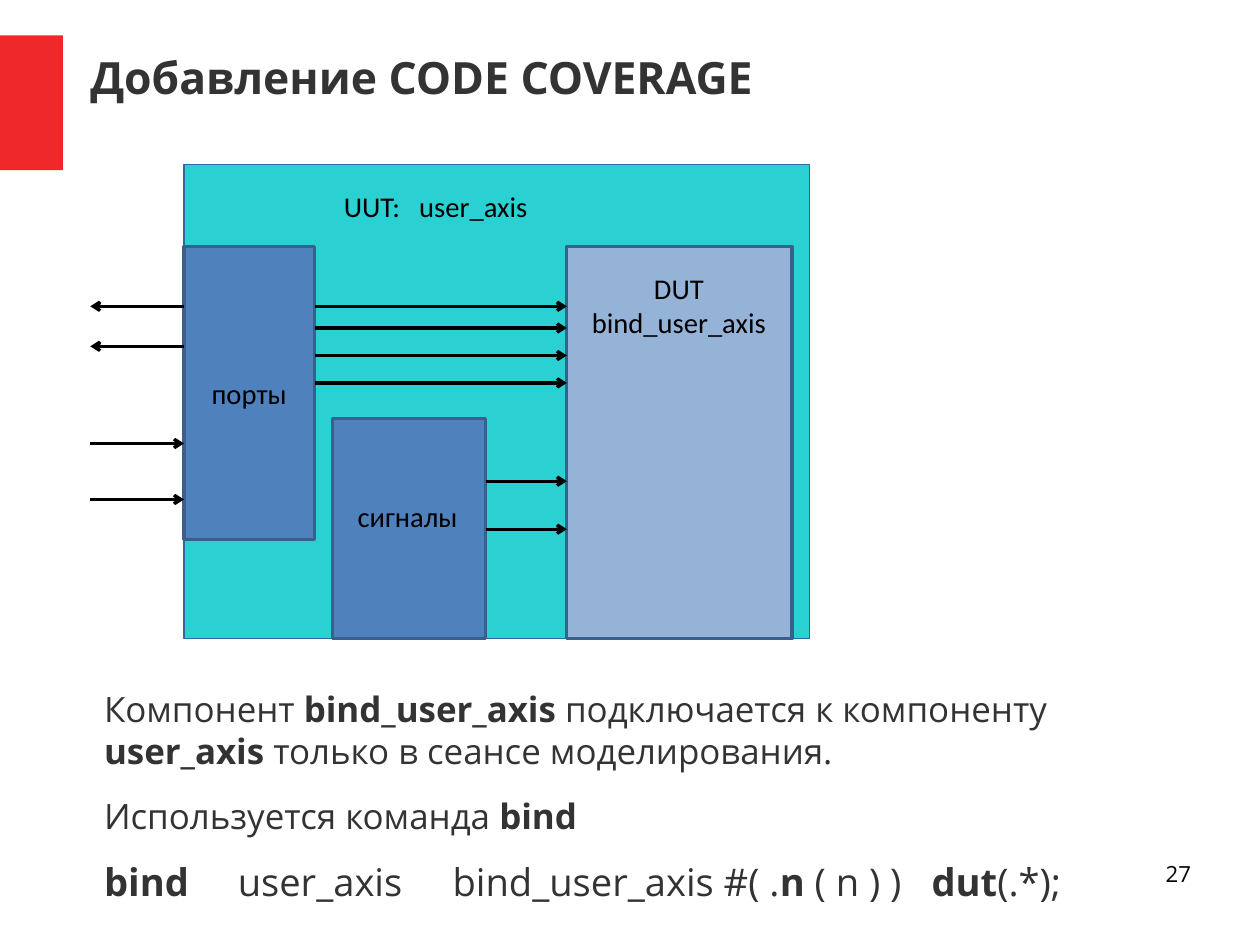
from pptx import Presentation
from pptx.dml.color import RGBColor
from pptx.enum.shapes import MSO_CONNECTOR, MSO_SHAPE
from pptx.enum.text import MSO_ANCHOR, MSO_AUTO_SIZE, PP_ALIGN
from pptx.oxml.ns import qn
from pptx.util import Cm, Inches, Pt
from lxml.etree import SubElement

SIZE = (28, 21)
TITLE = "Добавление CODE COVERAGE"
HEAD = {"name": "Open Sans", "size": Pt(28), "bold": True}
BODY = {"name": "Open Sans", "size": Pt(22)}
CODE = {"name": "Open Sans", "size": Pt(24)}
PAGE = {"name": "Open Sans", "size": Pt(14)}
LABEL = {"name": "Calibri", "size": Pt(18)}
DARK, BLACK = "333333", "000000"
LEFT = {"alignment": PP_ALIGN.LEFT}
MID = {"alignment": PP_ALIGN.CENTER}
RIGHT = {"alignment": PP_ALIGN.RIGHT}
PARA = {"alignment": PP_ALIGN.LEFT, "space_after": Pt(14.1)}
TIGHT = {"margin_left": 0, "margin_right": 0, "margin_top": 0, "margin_bottom": 0}

RECTS = [
    ((0, 0.31, 0.55, 1.18), "EF2929", None, 0, ""),
    ((1.61, 1.44, 5.47, 4.15), "2BD0D2", "3465A4", 0, ""),
    ((4.96, 2.16, 1.97, 3.43), "95B3D7", "3A5F8C", 2, ""),
    ((1.61, 2.16, 1.14, 2.56), "4F81BD", "3A5F8C", 2, "порты"),
    ((2.91, 3.66, 1.34, 1.93), "4F81BD", "3A5F8C", 2, ""),
]
LABELS = [
    ((2.91, 1.6, 1.83, 0.4), ["UUT:\tuser_axis"], LEFT, [0.66]),
    ((3.03, 4.32, 1.1, 0.4), ["сигналы"], LEFT, []),
    ((5.07, 2.32, 1.74, 0.71), ["DUT", "bind_user_axis"], MID, []),
]
ARROWS = [
    (1.61, 0.79, [2.68, 3.03]),
    (0.79, 1.61, [3.88, 4.37]),
    (2.76, 4.96, [2.68, 2.87, 3.11, 3.35]),
    (4.25, 4.96, [4.21, 4.63]),
]
NOTES = [
    (BODY, [], [("Компонент ", False), ("bind_user_axis ", True),
                ("подключается к компоненту ", False), ("user_axis ", True),
                ("только в сеансе моделирования.", False)]),
    (BODY, [], [("Используется команда ", False), ("bind", True)]),
    (CODE, [1.17, 3.05, 7.24], [("bind", True), ("\tuser_axis\tbind_user_axis #( .", False),
                                ("n", True), (" ( n ) )\t", False),
                                ("dut", True), ("(.*);", False)]),
]


def rgb(code):
    return RGBColor.from_string(code)


def apply(item, style):
    for key, value in style.items():
        setattr(item, key, value)


def write(para, parts, font, color, style, tabs=()):
    apply(para, style)
    for text, bold in parts:
        run = para.add_run()
        run.text = text
        apply(run.font, {"bold": bold, **font})
        run.font.color.rgb = rgb(color)
    if tabs:
        stops = SubElement(para._p.get_or_add_pPr(), qn("a:tabLst"))
        for stop in tabs:
            SubElement(stops, qn("a:tab"), pos=str(Inches(stop)), algn="l")


def next_para(frame, index):
    return frame.add_paragraph() if index else frame.paragraphs[0]


def add_box(slide, place, style):
    frame = slide.shapes.add_textbox(*map(Inches, place)).text_frame
    apply(frame, {"word_wrap": True, **style})
    return frame


def add_rect(slide, place, fill, edge, width, text):
    rect = slide.shapes.add_shape(MSO_SHAPE.RECTANGLE, *map(Inches, place))
    rect.shadow.inherit = False
    rect.fill.solid()
    rect.fill.fore_color.rgb = rgb(fill)
    if edge:
        rect.line.color.rgb = rgb(edge)
        rect.line.width = Pt(width)
    else:
        rect.line.fill.background()
    if text:
        rect.text_frame.vertical_anchor = MSO_ANCHOR.MIDDLE
        write(rect.text_frame.paragraphs[0], [(text, False)], LABEL, BLACK, MID)


def add_arrow(slide, start, end, level):
    ends = map(Inches, (start, level, end, level))
    arrow = slide.shapes.add_connector(MSO_CONNECTOR.STRAIGHT, *ends)
    arrow.line.color.rgb = rgb(BLACK)
    arrow.line.width = Pt(2)
    SubElement(arrow.line._get_or_add_ln(), qn("a:tailEnd"), type="arrow")
    SubElement(arrow._element.spPr, qn("a:effectLst"))


def main():
    deck = Presentation()
    deck.slide_width, deck.slide_height = map(Cm, SIZE)
    slide = deck.slides.add_slide(deck.slide_layouts[5])

    title = slide.shapes.title
    for key, value in zip(("left", "top", "width", "height"), (0.79, 0.44, 9.68, 0.47)):
        setattr(title, key, Inches(value))
    apply(title.text_frame, {"vertical_anchor": MSO_ANCHOR.MIDDLE,
                             "auto_size": MSO_AUTO_SIZE.NONE, **TIGHT})
    write(title.text_frame.paragraphs[0], [(TITLE, True)], HEAD, DARK, LEFT)

    for rect in RECTS:
        add_rect(slide, *rect)
    for place, lines, style, tabs in LABELS:
        frame = add_box(slide, place, {"word_wrap": len(lines) == 1})
        for index, line in enumerate(lines):
            write(next_para(frame, index), [(line, False)], LABEL, BLACK, style, tabs)
    for start, end, levels in ARROWS:
        for level in levels:
            add_arrow(slide, start, end, level)

    notes = add_box(slide, (0.79, 6.02, 9.45, 1.96), {**TIGHT, "margin_left": Inches(0.12)})
    for index, (font, tabs, parts) in enumerate(NOTES):
        write(next_para(notes, index), parts, font, DARK, PARA, tabs)

    page = add_box(slide, (7.9, 7.53, 2.52, 0.57), TIGHT)
    write(page.paragraphs[0], [("27", False)], PAGE, BLACK, RIGHT)
    deck.save("out.pptx")


if __name__ == "__main__":
    main()
